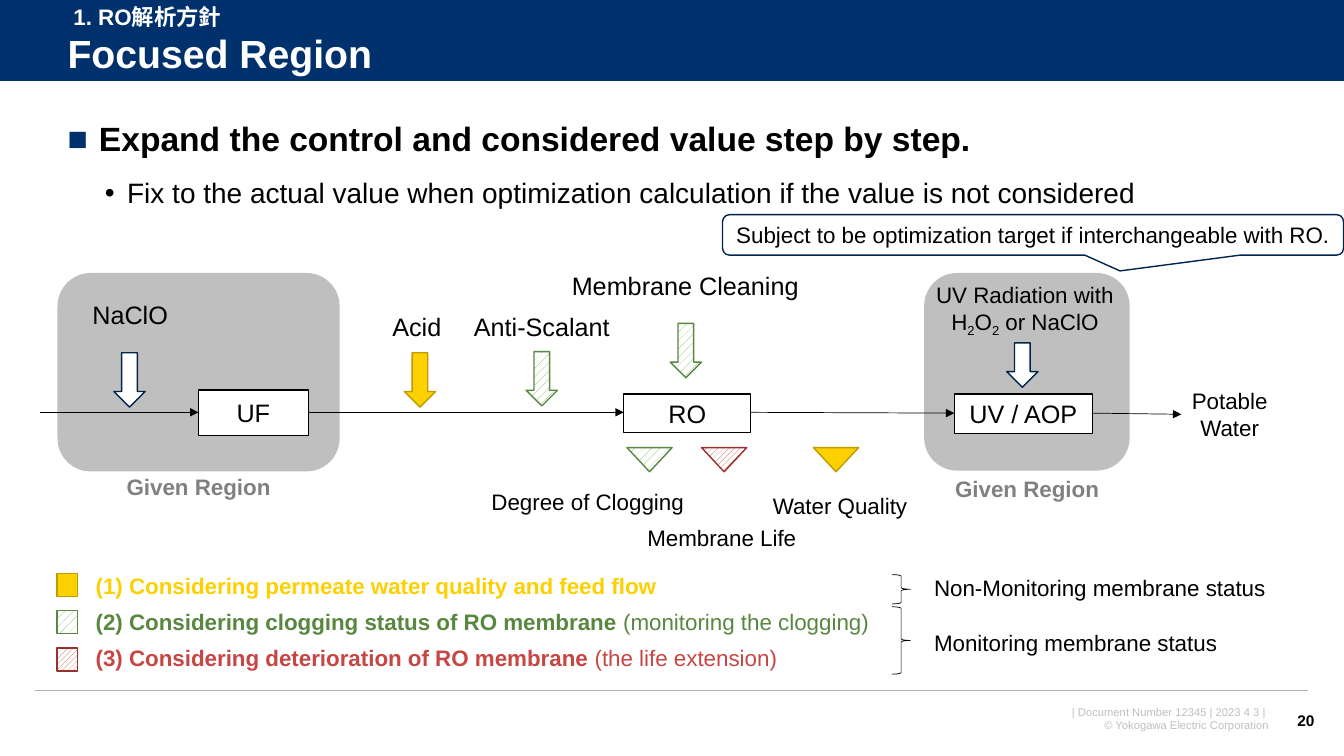
from dataclasses import dataclass
from lxml.etree import SubElement
from pptx import Presentation
from pptx.dml.color import RGBColor
from pptx.enum.dml import MSO_PATTERN
from pptx.enum.shapes import MSO_CONNECTOR, MSO_SHAPE
from pptx.enum.text import MSO_ANCHOR, MSO_AUTO_SIZE, PP_ALIGN
from pptx.oxml.ns import qn
from pptx.util import Cm, Pt

HUE = {
    "navy": "00316C", "ink": "002450", "white": "FFFFFF", "black": "000000",
    "pale": "BFBFBF", "rule": "B2B2B2", "gray": "808080",
    "gold": "FDD000", "ochre": "BE9C00", "leaf": "76B059", "green": "588740",
    "red": "C74643", "wine": "9A302E",
}
LEFT, MID, RIGHT = PP_ALIGN.LEFT, PP_ALIGN.CENTER, PP_ALIGN.RIGHT


@dataclass(frozen=True)
class Look:
    fill: str | None = None
    line: str | None = None
    width: float = 1
    mesh: MSO_PATTERN | None = None


@dataclass(frozen=True)
class Form:
    kind: MSO_SHAPE
    x: float
    y: float
    w: float
    h: float
    look: Look
    text: str = ""
    size: float = 18
    bend: tuple[float, ...] = ()
    flip: bool = False


@dataclass(frozen=True)
class Span:
    text: str
    bold: bool = False
    sub: bool = False


@dataclass(frozen=True)
class Note:
    text: str
    x: float
    y: float
    w: float
    h: float = 0.94
    size: float = 16
    tint: str = "black"
    bold: bool = False
    side: PP_ALIGN = MID
    more: tuple[Span, ...] = ()


@dataclass(frozen=True)
class Path:
    x: float
    y: float
    to_x: float
    to_y: float
    tint: str = "black"
    width: float = 0.5
    head: bool = True


PLAIN = Look("pale")
BOX = Look("white", "black")
WHITE = Look("white", "ink")
GOLD = Look("gold", "ochre")
GREEN = Look("leaf", "green", mesh=MSO_PATTERN.PERCENT_20)
RED = Look("red", "wine", mesh=MSO_PATTERN.WIDE_UPWARD_DIAGONAL)
BRACE = Look(None, "black", 0.5)

ZONES = [
    Form(MSO_SHAPE.ROUNDED_RECTANGLE, 23.29, 6.88, 5.18, 4.98, PLAIN),
    Form(MSO_SHAPE.ROUNDED_RECTANGLE, 1.45, 6.88, 7.11, 5, PLAIN),
]
STEPS = [
    Form(MSO_SHAPE.RECTANGLE, 5, 9.83, 2.77, 1.14, BOX, "UF"),
    Form(MSO_SHAPE.RECTANGLE, 15.72, 9.93, 3.2, 0.97, BOX, "RO"),
    Form(MSO_SHAPE.RECTANGLE, 24.05, 9.93, 3.48, 0.99, BOX, "UV / AOP"),
]
FLOWS = [
    Path(1.02, 10.39, 5, 10.39),
    Path(7.77, 10.39, 15.72, 10.39),
    Path(18.92, 10.39, 24.05, 10.41),
    Path(27.51, 10.41, 29.77, 10.44),
]
DOSES = [Form(MSO_SHAPE.DOWN_ARROW, x, y, 0.79, h, look) for x, y, h, look in [
    (2.87, 8.89, 1.37, WHITE), (10.19, 8.89, 1.37, GOLD), (13.26, 8.86, 1.37, GREEN),
    (16.89, 8.15, 1.37, GREEN), (25.37, 8.64, 1.12, WHITE),
]]
MARKS = [Form(MSO_SHAPE.ISOSCELES_TRIANGLE, x, 11.28, 1.14, 0.61, look, flip=True)
         for x, look in [(15.8, GREEN), (17.68, RED), (20.5, GOLD)]]
KEYS = [Form(MSO_SHAPE.RECTANGLE, 1.44, 14.45 + 0.94 * i, 0.51, 0.58, look)
        for i, look in enumerate([GOLD, GREEN, RED])]
GROUPS = [
    Form(MSO_SHAPE.RIGHT_BRACE, 22.48, 14.48, 0.46, 0.74, BRACE),
    Form(MSO_SHAPE.RIGHT_BRACE, 22.48, 15.29, 0.46, 1.7, BRACE),
]
CALL = Form(MSO_SHAPE.ROUNDED_RECTANGULAR_CALLOUT, 18.21, 5.41, 15.65, 1.02, WHITE,
            "Subject to be optimization target if interchangeable with RO.", 16,
            (0.14, 0.89, 0.17))

NOTES = [
    Note("1. RO解析方針", 1.6, -0.05, 12.57, tint="white", bold=True, side=LEFT),
    Note("NaClO", 1.83, 7.42, 2.9, 1.02, 18),
    Note("Acid", 8.28, 7.72, 4.45, 1.02, 18),
    Note("Anti-Scalant", 11.66, 7.72, 3.99, 1.02, 18),
    Note("Membrane Cleaning", 13.97, 6.68, 6.6, 1.02, 18),
    Note("UV Radiation with H", 23.01, 6.96, 5.64, 1.63, more=(
        Span("2", sub=True), Span("O"), Span("2", sub=True), Span(" or NaClO"))),
    Note("Potable Water", 29.77, 9.63, 2.44, 1.63),
    Note("Degree of Clogging", 12.12, 12.17, 5.38),
    Note("Membrane Life", 15.8, 13.08, 4.78),
    Note("Water Quality", 19.15, 12.27, 4.04),
    Note("Given Region", 2.72, 11.81, 4.57, tint="gray", bold=True),
    Note("Given Region", 23.6, 11.84, 4.57, tint="gray", bold=True),
    Note("Non-Monitoring membrane status", 23.29, 14.35, 8.97, side=LEFT),
    Note("Monitoring membrane status", 23.29, 15.72, 7.72, side=LEFT),
    Note("| Document Number 12345 | 2023 4 3 | \n© Yokogawa Electric Corporation",
         24.08, 17.65, 8.15, size=8, tint="pale", side=RIGHT),
]
NOTES += [Note(text, 2.16, 14.3 + 0.9 * i, 20.37, tint=tint, bold=True, side=LEFT, more=more)
          for i, (text, tint, more) in enumerate([
              ("(1) Considering permeate water quality and feed flow", "gold", ()),
              ("(2) Considering clogging status of RO membrane ", "green",
               (Span("(monitoring the clogging)"),)),
              ("(3) Considering deterioration of RO membrane ", "red",
               (Span("(the life extension)"),)),
          ])]


def shade(name: str) -> RGBColor:
    return RGBColor.from_string(HUE[name])


def write(para, text: str, *, size: float = 16, tint: str = "black",
          bold: bool = False, sub: bool = False, side: PP_ALIGN = LEFT) -> None:
    para.alignment = side
    run = para.add_run()
    run.text = text
    font = run.font
    font.name, font.size, font.bold = "Arial", Pt(size), bold
    font.color.rgb = shade(tint)
    if sub:
        font._element.set("baseline", "-25000")


def draw(slide, form: Form) -> None:
    shape = slide.shapes.add_shape(form.kind, Cm(form.x), Cm(form.y), Cm(form.w), Cm(form.h))
    shape.shadow.inherit = False
    look = form.look
    if look.mesh is not None:
        shape.fill.patterned()
        shape.fill.pattern = look.mesh
        shape.fill.fore_color.rgb = shade(look.fill)
        shape.fill.back_color.rgb = shade("white")
    elif look.fill:
        shape.fill.solid()
        shape.fill.fore_color.rgb = shade(look.fill)
    else:
        shape.fill.background()
    if look.line:
        shape.line.color.rgb = shade(look.line)
        shape.line.width = Pt(look.width)
    else:
        shape.line.fill.background()
    for i, bend in enumerate(form.bend):
        shape.adjustments[i] = bend
    if form.flip:
        shape._element.spPr.find(qn("a:xfrm")).set("flipV", "1")
    if form.text:
        frame = shape.text_frame
        frame.vertical_anchor = MSO_ANCHOR.MIDDLE
        write(frame.paragraphs[0], form.text, size=form.size, side=MID)


def link(slide, path: Path) -> None:
    line = slide.shapes.add_connector(MSO_CONNECTOR.STRAIGHT, Cm(path.x), Cm(path.y),
                                      Cm(path.to_x), Cm(path.to_y))
    line.line.color.rgb = shade(path.tint)
    line.line.width = Pt(path.width)
    props = line._element.spPr
    if path.head:
        SubElement(props.find(qn("a:ln")), qn("a:tailEnd"), type="triangle")
    SubElement(props, qn("a:effectLst"))


def label(slide, note: Note) -> None:
    frame = slide.shapes.add_textbox(Cm(note.x), Cm(note.y), Cm(note.w), Cm(note.h)).text_frame
    frame.word_wrap = True
    for i, text in enumerate(note.text.split("\n")):
        para = frame.add_paragraph() if i else frame.paragraphs[0]
        write(para, text, size=note.size, tint=note.tint, bold=note.bold, side=note.side)
    for span in note.more:
        write(para, span.text, size=note.size, tint=note.tint, bold=span.bold,
              sub=span.sub, side=note.side)


def place(slide, shape, x: float, y: float, w: float, h: float):
    shape.left, shape.top, shape.width, shape.height = Cm(x), Cm(y), Cm(w), Cm(h)
    slide.shapes._spTree.append(shape._element)
    frame = shape.text_frame
    frame.word_wrap = True
    frame.auto_size = MSO_AUTO_SIZE.NONE
    return frame


def mark(para, sign: str, tint: str, inset: float, hang: float) -> None:
    props = para._p.get_or_add_pPr()
    props.set("marL", str(Cm(inset)))
    props.set("indent", str(-Cm(hang)))
    SubElement(SubElement(props, qn("a:buClr")), qn("a:srgbClr"), val=HUE[tint])
    SubElement(props, qn("a:buFont"), typeface="Arial")
    SubElement(props, qn("a:buChar"), char=sign)


def main() -> None:
    deck = Presentation()
    deck.slide_width, deck.slide_height = Cm(33.87), Cm(19.05)
    slide = deck.slides.add_slide(deck.slide_layouts[1])

    draw(slide, Form(MSO_SHAPE.RECTANGLE, 0, 0, 33.87, 2.06, Look("navy")))
    link(slide, Path(0, 2.06, 33.87, 2.06, "white", 0.75, False))
    link(slide, Path(0.89, 17.4, 32.97, 17.4, "rule", 1, False))

    frame = place(slide, slide.shapes.title, 1.45, 0.69, 31.67, 1.45)
    frame.vertical_anchor = MSO_ANCHOR.MIDDLE
    head = frame.paragraphs[0]
    head.line_spacing = 0.9
    write(head, "Focused Region", size=28, tint="white", bold=True)

    frame = place(slide, slide.placeholders[1], 1.45, 2.97, 31.5, 1.68)
    frame.vertical_anchor = MSO_ANCHOR.TOP
    goal, rule = frame.paragraphs[0], frame.add_paragraph()
    mark(goal, "■", "navy", 0.79, 0.79)
    goal.line_spacing, goal.space_before = 0.9, Pt(0)
    write(goal, "Expand the control and considered value step by step.", size=24, bold=True)
    rule.level = 1
    mark(rule, "•", "black", 1.5, 0.56)
    rule.line_spacing, rule.space_before = 1.0, Pt(12)
    write(rule, "Fix to the actual value when optimization calculation "
                "if the value is not considered", size=20)

    for form in ZONES + STEPS + DOSES + MARKS + KEYS + GROUPS:
        draw(slide, form)
    for path in FLOWS:
        link(slide, path)
    for note in NOTES:
        label(slide, note)
    draw(slide, CALL)

    page = slide.shapes.add_textbox(Cm(32.26), Cm(17.65), Cm(1.12), Cm(1.02)).text_frame
    page.word_wrap = False
    page.vertical_anchor = MSO_ANCHOR.MIDDLE
    write(page.paragraphs[0], "20", size=11, bold=True, side=RIGHT)
    deck.save("out.pptx")


if __name__ == "__main__":
    main()
